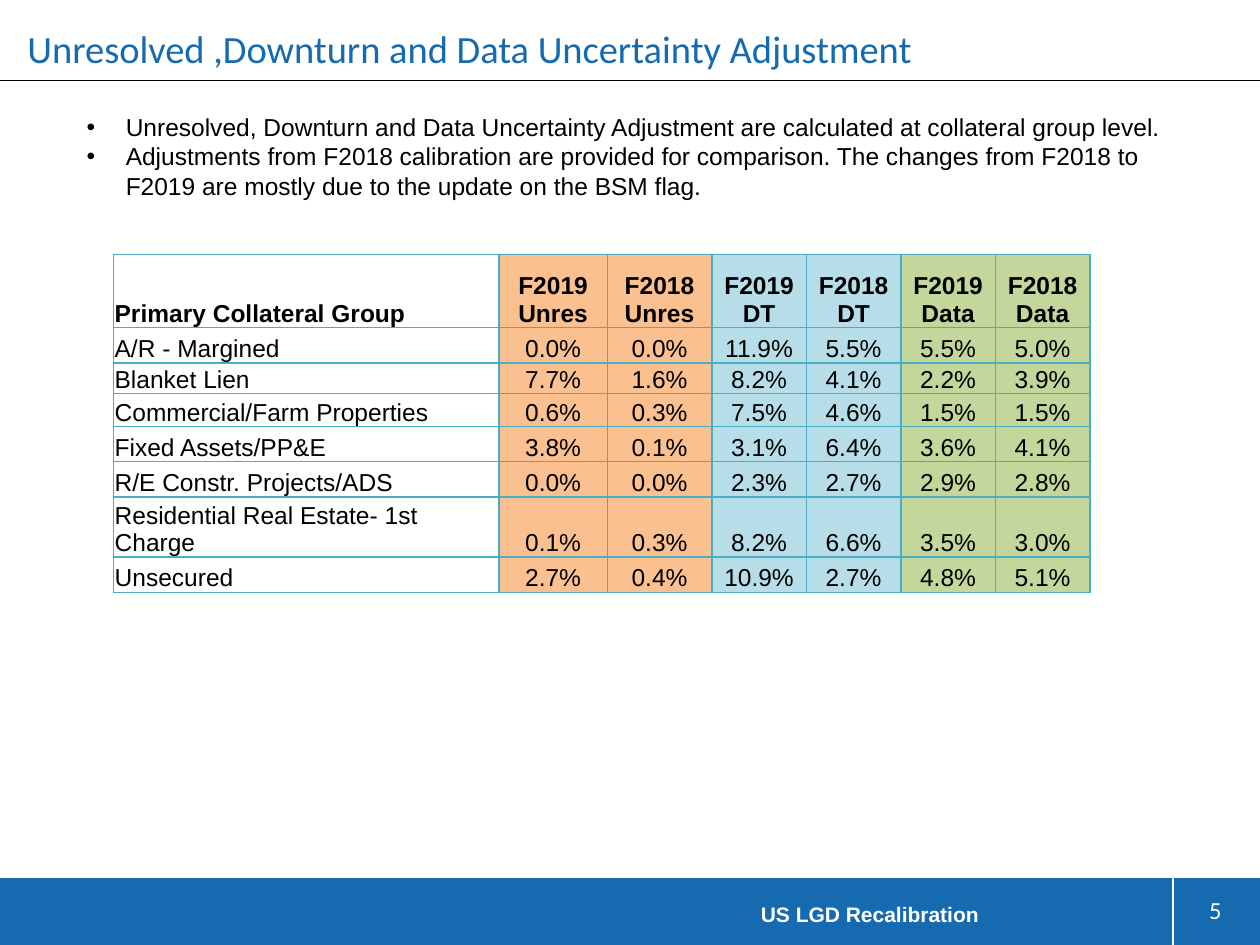
from lxml import etree
from pptx import Presentation
from pptx.dml.color import RGBColor
from pptx.enum import shapes, text
from pptx.oxml import ns
from pptx.util import Inches, Pt

BLUE = RGBColor(0x16, 0x6A, 0xB0)
WHITE = RGBColor(0xFF, 0xFF, 0xFF)
BLACK = RGBColor(0, 0, 0)
BORDER = RGBColor(0x4B, 0xAC, 0xC6)
ORANGE = RGBColor(0xFA, 0xC0, 0x90)
AQUA = RGBColor(0xB7, 0xDE, 0xE8)
GREEN = RGBColor(0xC3, 0xD6, 0x9B)

TITLE = "Unresolved ,Downturn and Data Uncertainty Adjustment"
FOOTER = "US LGD Recalibration"
PAGE_NUMBER = "5"
BULLETS = [
    "Unresolved, Downturn and Data Uncertainty Adjustment are calculated at collateral group level.",
    "Adjustments from F2018 calibration are provided for comparison. The changes from F2018 to "
    "F2019 are mostly due to the update on the BSM flag.",
]
ROWS = [
    ("Primary Collateral Group", "F2019 Unres", "F2018 Unres", "F2019 DT", "F2018 DT", "F2019 Data", "F2018 Data"),
    ("A/R - Margined", "0.0%", "0.0%", "11.9%", "5.5%", "5.5%", "5.0%"),
    ("Blanket Lien ", "7.7%", "1.6%", "8.2%", "4.1%", "2.2%", "3.9%"),
    ("Commercial/Farm Properties", "0.6%", "0.3%", "7.5%", "4.6%", "1.5%", "1.5%"),
    ("Fixed Assets/PP&E", "3.8%", "0.1%", "3.1%", "6.4%", "3.6%", "4.1%"),
    ("R/E Constr. Projects/ADS", "0.0%", "0.0%", "2.3%", "2.7%", "2.9%", "2.8%"),
    ("Residential Real Estate- 1st Charge", "0.1%", "0.3%", "8.2%", "6.6%", "3.5%", "3.0%"),
    ("Unsecured", "2.7%", "0.4%", "10.9%", "2.7%", "4.8%", "5.1%"),
]
COLUMN_WIDTHS = [3.06, 0.86, 0.83] + [0.75] * 4
ROW_HEIGHTS = [0.58, 0.28, 0.24, 0.26, 0.28, 0.28, 0.47, 0.28]
COLUMN_FILLS = [None, ORANGE, ORANGE, AQUA, AQUA, GREEN, GREEN]

presentation = Presentation()
presentation.slide_width = Inches(10)
presentation.slide_height = Inches(7.5)
slide = presentation.slides.add_slide(presentation.slide_layouts[6])


def style_paragraph(paragraph, size, color, font="Arial", bold=False, align=text.PP_ALIGN.LEFT):
    paragraph.alignment = align
    for run in paragraph.runs:
        run.font.size = Pt(size)
        run.font.name = font
        run.font.bold = bold
        run.font.color.rgb = color


def add_text(box, lines, size, color, anchor=text.MSO_ANCHOR.TOP, wrap=True, **style):
    frame = slide.shapes.add_textbox(*map(Inches, box)).text_frame
    frame.word_wrap = wrap
    frame.vertical_anchor = anchor
    frame.text = "\n".join(lines)
    for paragraph in frame.paragraphs:
        style_paragraph(paragraph, size, color, **style)
    return frame


def add_line(start, end, color, width):
    line = slide.shapes.add_connector(shapes.MSO_CONNECTOR.STRAIGHT, *map(Inches, start + end))
    line.line.color.rgb = color
    line.line.width = Pt(width)
    etree.SubElement(line._element.spPr, ns.qn("a:effectLst"))


def add_borders(cell):
    properties = cell._tc.get_or_add_tcPr()
    for index, side in enumerate(("lnL", "lnR", "lnT", "lnB")):
        border = etree.Element(ns.qn("a:" + side), w=str(Pt(1)))
        fill = etree.SubElement(border, ns.qn("a:solidFill"))
        etree.SubElement(fill, ns.qn("a:srgbClr"), val=str(BORDER))
        properties.insert(index, border)


footer_bar = slide.shapes.add_shape(
    shapes.MSO_SHAPE.RECTANGLE, Inches(0), Inches(6.97), Inches(10), Inches(0.53))
footer_bar.shadow.inherit = False
footer_bar.fill.solid()
footer_bar.fill.fore_color.rgb = BLUE
footer_bar.line.fill.background()
add_line((9.31, 6.97), (9.31, 7.5), WHITE, 0.75)
add_line((0, 0.64), (10, 0.64), BLACK, 0.5)

page_frame = add_text((9.34, 7.01, 0.61, 0.42), [PAGE_NUMBER], 14, WHITE, font="Calibri",
                      anchor=text.MSO_ANCHOR.MIDDLE, wrap=False, align=text.PP_ALIGN.CENTER)
page_frame.margin_left = page_frame.margin_right = page_frame.margin_top = page_frame.margin_bottom = 0
add_text((5.94, 7.11, 3.32, 0.3), [FOOTER], 12, WHITE, bold=True)
add_text((0.12, 0.15, 9, 0.47), [TITLE], 22, BLUE, anchor=text.MSO_ANCHOR.MIDDLE, font="Calibri")

bullet_frame = add_text((0.59, 0.84, 9, 6.12), BULLETS, 14, BLACK)
for paragraph in bullet_frame.paragraphs:
    properties = paragraph._p.get_or_add_pPr()
    properties.set("marL", str(Inches(0.31)))
    properties.set("indent", str(-Inches(0.31)))
    etree.SubElement(properties, ns.qn("a:buFont"), typeface="Arial")
    etree.SubElement(properties, ns.qn("a:buChar"), char="•")

table = slide.shapes.add_table(
    len(ROWS), len(COLUMN_WIDTHS), Inches(0.9), Inches(2.02),
    Inches(sum(COLUMN_WIDTHS)), Inches(sum(ROW_HEIGHTS))).table
table.horz_banding = False
for column, width in zip(table.columns, COLUMN_WIDTHS):
    column.width = Inches(width)
for row_index, (row, height, values) in enumerate(zip(table.rows, ROW_HEIGHTS, ROWS)):
    row.height = Inches(height)
    for column_index, (cell, value) in enumerate(zip(row.cells, values)):
        cell.text = value
        cell.vertical_anchor = text.MSO_ANCHOR.BOTTOM
        cell.margin_left = cell.margin_right = cell.margin_top = Inches(0.01)
        cell.margin_bottom = 0
        align = text.PP_ALIGN.CENTER if column_index else text.PP_ALIGN.LEFT
        style_paragraph(cell.text_frame.paragraphs[0], 14, BLACK, bold=row_index == 0, align=align)
        color = COLUMN_FILLS[column_index]
        if color is None:
            cell.fill.background()
        else:
            cell.fill.solid()
            cell.fill.fore_color.rgb = color
        add_borders(cell)

presentation.save("out.pptx")
